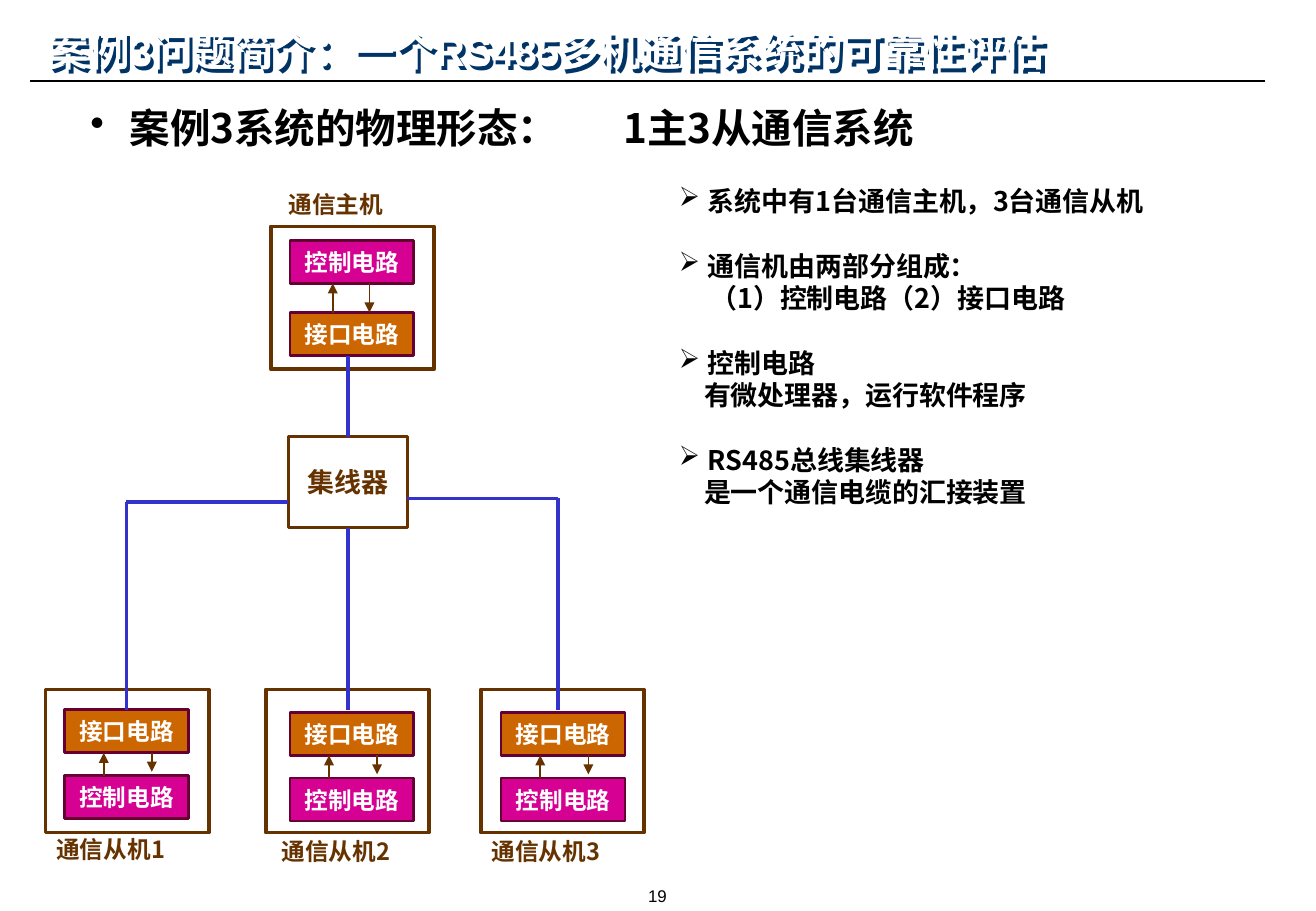
from lxml import etree
from pptx import Presentation
from pptx import util as u
from pptx.dml.color import RGBColor
from pptx.enum import shapes, text
from pptx.oxml.ns import qn

PX = 9525
SANS, ARIAL = "Noto Sans CJK SC", "Arial"
COLORS = {
    "black": "000000", "white": "FFFFFF", "navy": "003366", "brown": "663300",
    "control": "D60093", "interface": "CC6600", "edge": "660033", "bus": "3333CC",
}
BLOCK_W, BLOCK_H = 98, 34
FRAME_W, FRAME_H = 129, 113
NOTES = [
    ("系统中有1台通信主机，3台通信从机", None, 0),
    ("通信机由两部分组成：", "（1）控制电路（2）接口电路", 25),
    ("控制电路", "有微处理器，运行软件程序", 20),
    ("RS485总线集线器", "是一个通信电缆的汇接装置", 20),
]


def px(n):
    return u.Emu(round(n * PX))


def rgb(name):
    return RGBColor.from_string(COLORS[name])


def child(parent, tag, **attrs):
    return etree.SubElement(parent, qn(tag), {k: str(v) for k, v in attrs.items()})


def style(p, size, color, font=SANS, bold=True):
    for r in p.runs:
        r.font.size, r.font.bold, r.font.name = u.Pt(size), bold, font
        r.font.color.rgb = rgb(color)
        child(r._r.get_or_add_rPr(), "a:ea", typeface=SANS)


def set_indent(p, left, first=0, bullet=None):
    pPr = p._p.get_or_add_pPr()
    pPr.set("marL", str(px(left)))
    pPr.set("indent", str(px(first)))
    if bullet:
        child(pPr, "a:buChar", char=bullet)
    return pPr


def center_text(sp, words, size, color, font=SANS, bold=True):
    tf = sp.text_frame
    tf.word_wrap = True
    tf.margin_left = tf.margin_right = 0
    tf.vertical_anchor = text.MSO_ANCHOR.MIDDLE
    tf.text = words
    p = tf.paragraphs[0]
    p.alignment = text.PP_ALIGN.CENTER
    style(p, size, color, font, bold)


def add_text(s, x, y, w, h):
    sp = s.shapes.add_textbox(px(x), px(y), px(w), px(h))
    sp.text_frame.word_wrap = True
    return sp


def add_rect(s, x, y, w, h, edge, weight, fill=None):
    sp = s.shapes.add_shape(shapes.MSO_SHAPE.RECTANGLE, px(x), px(y), px(w), px(h))
    sp.shadow.inherit = False
    if fill:
        sp.fill.solid()
        sp.fill.fore_color.rgb = rgb(fill)
    else:
        sp.fill.background()
    sp.line.color.rgb = rgb(edge)
    sp.line.width = u.Pt(weight)
    return sp


def add_line(s, x1, y1, x2, y2, color, weight, arrow=False):
    ln = s.shapes.add_connector(shapes.MSO_CONNECTOR.STRAIGHT, px(x1), px(y1), px(x2), px(y2))
    ln.line.color.rgb = rgb(color)
    ln.line.width = u.Pt(weight)
    if arrow:
        child(ln.line._get_or_add_ln(), "a:tailEnd", type="triangle")
    child(ln._element.spPr, "a:effectLst")
    return ln


def add_title(s, x, y, w, h):
    """White title that reads through its navy shadow, above a thin rule."""
    add_line(s, 24, y + h, 1000, y + h, "black", 0.75)
    sp = add_text(s, x, y, w, h)
    tf = sp.text_frame
    tf.vertical_anchor = text.MSO_ANCHOR.MIDDLE
    tf.text = "案例3问题简介：一个RS485多机通信系统的可靠性评估"
    style(tf.paragraphs[0], 24, "white", ARIAL)
    effects = child(sp._element.spPr, "a:effectLst")
    shadow = child(effects, "a:outerShdw", dist=35921, dir=2700000, algn="ctr", rotWithShape=0)
    child(shadow, "a:srgbClr", val=COLORS["navy"])


def add_heading(s, x, y, w, h):
    tf = add_text(s, x, y, w, h).text_frame
    tf.text = "案例3系统的物理形态：\t1主3从通信系统"
    p = tf.paragraphs[0]
    p.line_spacing = u.Pt(28.8)
    style(p, 24, "black")
    tabs = child(set_indent(p, 31, -31, "•"), "a:tabLst")
    child(tabs, "a:tab", pos=px(421), algn="l")


def add_notes(s, x, y, w, h):
    tf = add_text(s, x, y, w, h).text_frame
    line = u.Pt(19.2)
    for i, (point, detail, left) in enumerate(NOTES):
        p = tf.add_paragraph() if i else tf.paragraphs[0]
        p.text = point
        p.line_spacing = line
        p.space_before = line if i else u.Pt(0)
        set_indent(p, 23, -23, "➢")
        style(p, 16, "black")
        if detail:
            p = tf.add_paragraph()
            p.text = detail
            p.line_spacing = line
            set_indent(p, left)
            style(p, 16, "black")


def add_block(s, x, y, kind):
    sp = add_rect(s, x, y, BLOCK_W, BLOCK_H, "edge", 1.5, kind)
    center_text(sp, "控制电路" if kind == "control" else "接口电路", 14, "white")
    return sp


def add_station(s, frame, label, label_at, block_at, kinds, pitch, arrows):
    """Framed pair of stacked circuits; arrows gives up x, down x, down shortfall."""
    add_rect(s, *frame, FRAME_W, FRAME_H, "brown", 2.25)
    center_text(add_text(s, *label_at, 125, 32), label, 14, "brown")
    x, y = block_at
    blocks = {kind: add_block(s, x, y + i * pitch, kind) for i, kind in enumerate(kinds)}
    up, down, short = arrows
    top, bottom = y + BLOCK_H, y + pitch
    add_line(s, x + up, bottom - short % 3, x + up, top, "brown", 1, True)
    add_line(s, x + down, top, x + down, bottom - short, "brown", 1, True)
    return blocks["interface"]


def add_network(s):
    add_station(s, (214, 179), "通信主机", (203, 145), (229, 190),
                ("control", "interface"), 57, (34, 63, 0))
    slaves = [
        add_station(s, (frame_x, 545), f"通信从机{n}", (label_x, y + 94), (block_x, y),
                    ("interface", "control"), 52, (31, 69, 3))
        for n, (frame_x, label_x, block_x, y) in enumerate(
            [(36, 25, 51, 561), (210, 203, 229, 563), (380, 369, 396, 563)], 1)
    ]
    hub = add_rect(s, 228, 345, 94, 72, "brown", 2.25)
    center_text(hub, "集线器", 16, "brown")

    def bus(*ends):
        return add_line(s, *ends, "bus", 2.25)

    bus(275, 345, 275, 281).begin_connect(hub, 0)
    bus(275, 417, 275, 561).begin_connect(hub, 2)
    bus(228, 397, 100, 397)
    bus(100, 397, 100, 561).end_connect(slaves[0], 0)
    bus(322, 394, 441, 394)
    bus(441, 394, 441, 561)


def main():
    prs = Presentation()
    prs.slide_width, prs.slide_height = px(1040), px(720)
    s = prs.slides.add_slide(prs.slide_layouts[6])
    add_title(s, 29, 16, 884, 48)
    add_heading(s, 62, 77, 809, 48)
    add_network(s)
    add_notes(s, 527, 141, 492, 292)
    center_text(add_text(s, 355, 696, 329, 24), "19", 10, "black", ARIAL, False)
    prs.save("out.pptx")


if __name__ == "__main__":
    main()
